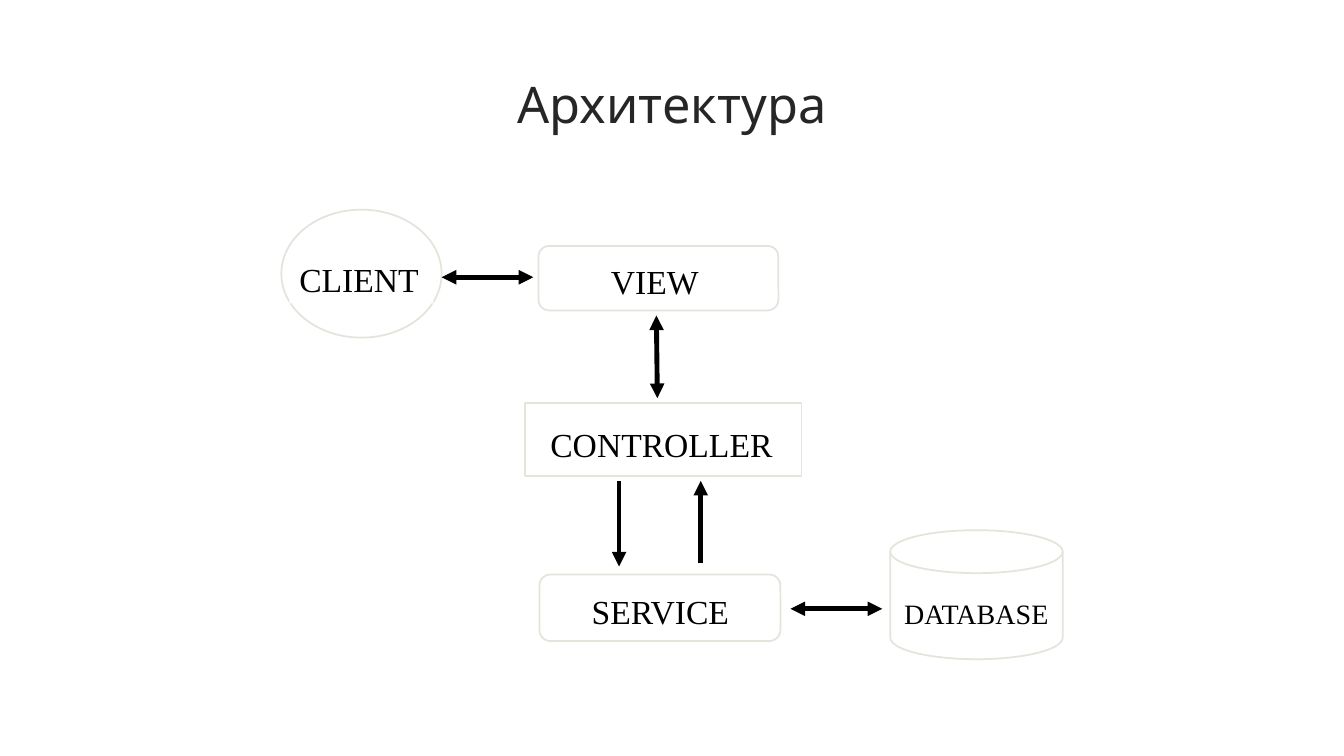
from dataclasses import dataclass

from lxml import etree
from pptx import Presentation
from pptx import util as u
from pptx.dml.color import RGBColor
from pptx.enum import shapes, text
from pptx.oxml import ns


@dataclass(frozen=True)
class Theme:
    ink: str = "000000"
    title: str = "262626"
    fill: str = "FFFFFF"
    edge: str = "E5E3DB"
    head: str = "Quicksand"
    body: str = "Times New Roman"
    big: int = 36
    mid: int = 24
    small: int = 20
    thin: float = 1.25
    thick: float = 3.5


T = Theme()
KIND = shapes.MSO_SHAPE

# Node outline, its place, label, label place, label size
NODES = [
    (KIND.OVAL, (2.79, 2.08, 1.59, 1.27), "CLIENT", (2.87, 2.47, 1.43, 0.54), T.mid),
    (KIND.ROUNDED_RECTANGLE, (5.34, 2.44, 2.38, 0.64), "VIEW", (5.96, 2.49, 1.16, 0.4), T.mid),
    (KIND.RECTANGLE, (5.21, 4, 2.74, 0.72), "CONTROLLER", (5.36, 4.11, 2.52, 0.55), T.mid),
    (KIND.ROUNDED_RECTANGLE, (5.35, 5.7, 2.39, 0.66), "SERVICE", (5.77, 5.76, 1.61, 0.53), T.mid),
    (KIND.FLOWCHART_MAGNETIC_DISK, (8.83, 5.26, 1.71, 1.28), "DATABASE",
     (8.87, 5.82, 1.64, 0.53), T.small),
]

# Start, end, arrowhead at both ends
ARROWS = [
    ((4.38, 2.75), (5.29, 2.75), True),
    ((6.51, 3.13), (6.52, 3.95), True),
    ((7.84, 6.04), (8.75, 6.04), True),
    ((6.14, 4.77), (6.14, 5.62), False),
    ((6.95, 5.59), (6.95, 4.77), False),
]


def inch(vals):
    return [u.Inches(v) for v in vals]


def rgb(code):
    return RGBColor.from_string(code)


def write(slide, words, place, size, font=T.body, color=T.ink, fill=None,
          align=text.PP_ALIGN.LEFT, lead=None, after=0, top=0.05):
    box = slide.shapes.add_textbox(*inch(place))
    if fill:
        box.fill.solid()
        box.fill.fore_color.rgb = rgb(fill)
    frame = box.text_frame
    frame.word_wrap = True
    frame.margin_top = u.Inches(top)
    frame.vertical_anchor = text.MSO_ANCHOR.TOP
    para = frame.paragraphs[0]
    para.alignment = align
    para.space_after = u.Pt(after)
    if lead:
        para.line_spacing = lead
    run = para.add_run()
    run.text = words
    run.font.size = u.Pt(size)
    run.font.name = font
    run.font.color.rgb = rgb(color)


def node(slide, kind, place, words, spot, size):
    shape = slide.shapes.add_shape(kind, *inch(place))
    shape.shadow.inherit = False
    shape.fill.solid()
    shape.fill.fore_color.rgb = rgb(T.fill)
    shape.line.color.rgb = rgb(T.edge)
    shape.line.width = u.Pt(T.thin)
    # The label of VIEW has no backing
    fill = None if words == "VIEW" else T.fill
    write(slide, words, spot, size, fill=fill, lead=1.07, after=8, top=0.07)


def arrow(slide, start, end, both):
    line = slide.shapes.add_connector(
        shapes.MSO_CONNECTOR.STRAIGHT, *inch(start + end))
    line.line.color.rgb = rgb(T.ink)
    line.line.width = u.Pt(T.thick)
    props = line.line._get_or_add_ln()
    for tag in ("a:headEnd", "a:tailEnd") if both else ("a:tailEnd",):
        etree.SubElement(props, ns.qn(tag), type="triangle")
    etree.SubElement(line._element.spPr, ns.qn("a:effectLst"))


def main():
    deck = Presentation()
    deck.slide_width, deck.slide_height = inch((13.33, 7.5))
    slide = deck.slides.add_slide(deck.slide_layouts[6])

    # Title
    write(slide, "Архитектура", (1.79, 0.68, 9.75, 1.4), T.big, font=T.head,
          color=T.title, align=text.PP_ALIGN.CENTER)

    # Diagram
    for item in NODES:
        node(slide, *item)
    for item in ARROWS:
        arrow(slide, *item)

    deck.save("out.pptx")


if __name__ == "__main__":
    main()
